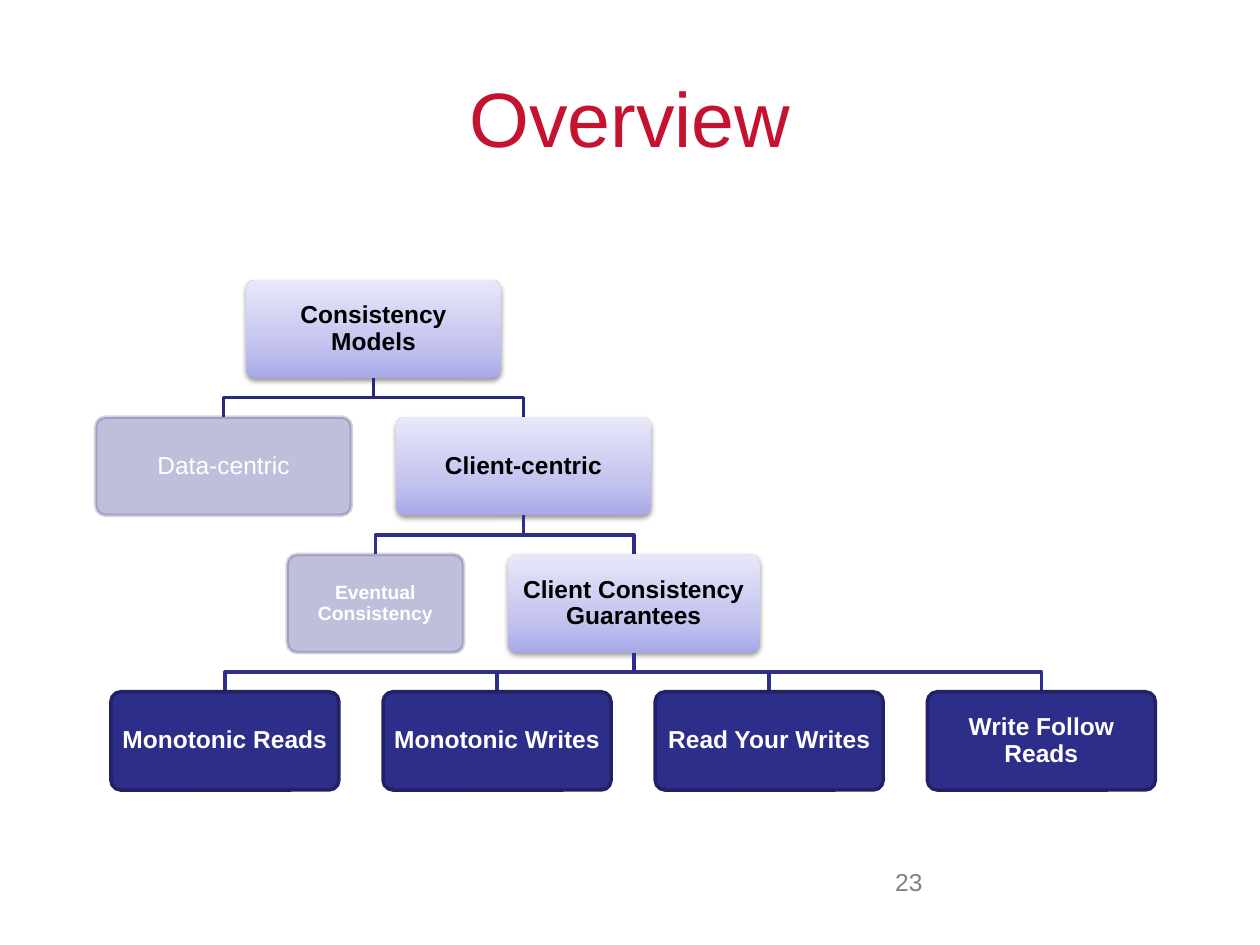
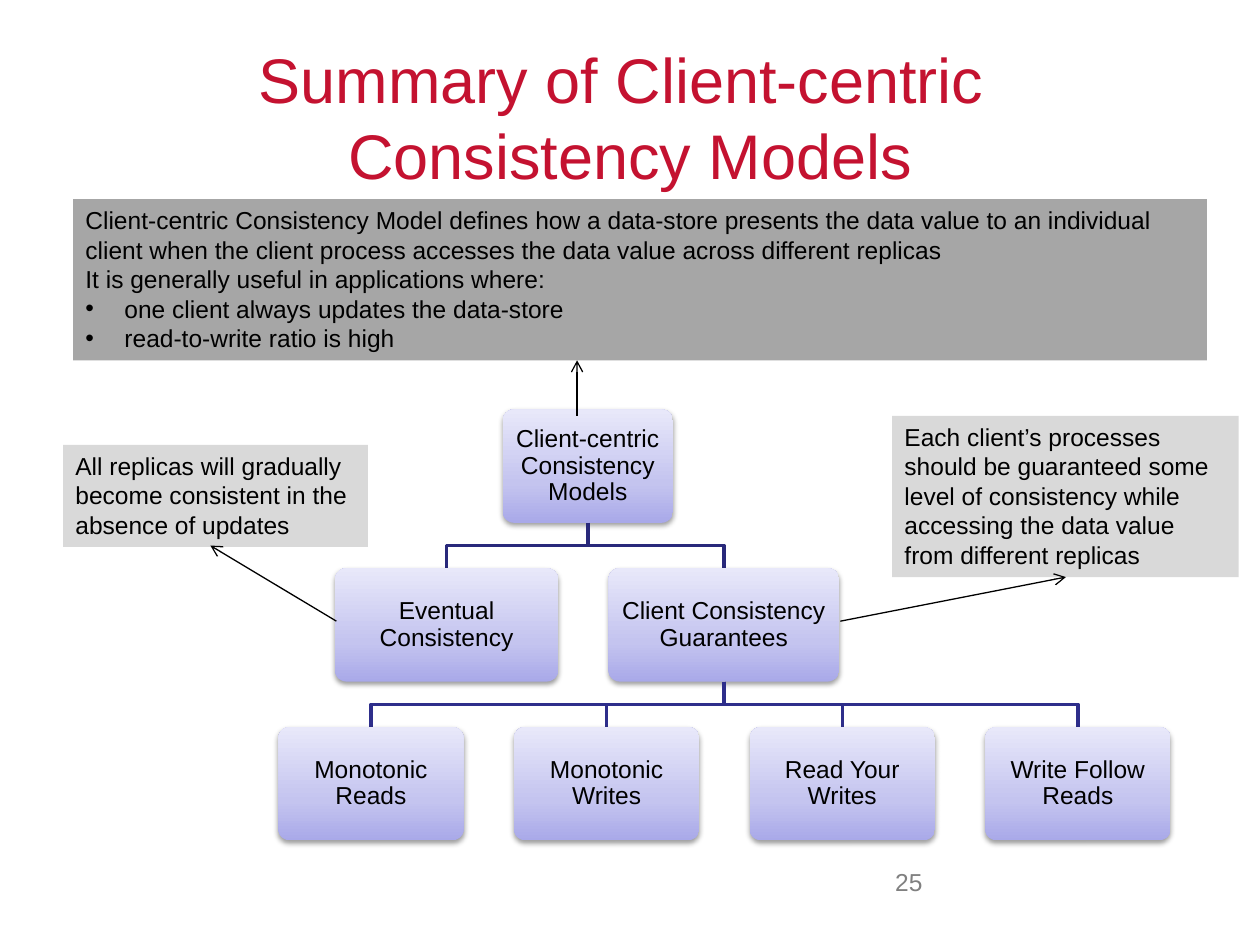
from lxml.etree import SubElement
from pptx import Presentation
from pptx.dml.color import RGBColor
from pptx.enum.shapes import MSO_CONNECTOR, MSO_SHAPE
from pptx.enum.text import MSO_ANCHOR, PP_ALIGN
from pptx.oxml.ns import qn
from pptx.util import Inches, Pt

# Shared look
FONT = "Arial"
RED, GREY, BLACK, WHITE = "C41230", "808080", "000000", "FFFFFF"
NAVY, NAVY_EDGE = "2D2D8A", "212166"
LIGHT_GREY, MID_GREY = "D9D9D9", "A6A6A6"
TOP_BRANCH, LOWER_BRANCH = "29297B", "2E2E8B"
LAVENDER = [(0, "A9A9E9"), (35, "C4C4EF"), (100, "E8E8FA")]

# Node looks: kind -> text format
NODE_TEXT = {
    "current": dict(color=BLACK, bold=True),
    "plain": dict(color=BLACK),
    "leaf": dict(color=WHITE, bold=True),
    "faded": dict(color=WHITE),
    "faded small": dict(color=WHITE, bold=True, size=11),
}

GUARANTEES = ["Monotonic Reads", "Monotonic Writes", "Read Your Writes", "Write Follow Reads"]

# Each tree row: left edge, then nodes as (text, width, kind).
# A row hangs from the last node of the row above.
OVERVIEW = dict(
    title="Overview", title_size=44, number="23",
    tree=dict(top=2.22, pitch=1.09, height=0.78, gap=0.35, rows=[
        (1.95, [("Consistency Models", 2.03, "current")]),
        (0.76, [("Data-centric", 2.03, "faded"), ("Client-centric", 2.03, "current")]),
        (2.28, [("Eventual Consistency", 1.4, "faded small"),
                ("Client Consistency Guarantees", 2, "current")]),
        (0.88, [(name, 1.81, "leaf") for name in GUARANTEES]),
    ]),
    callouts=[], arrows=[],
)
SUMMARY = dict(
    title="Summary of Client-centric \nConsistency Models", title_size=36, number="25",
    tree=dict(top=3.25, pitch=1.26, height=0.9, gap=0.4, rows=[
        (3.99, [("Client-centric Consistency Models", 1.35, "plain")]),
        (2.66, [("Eventual Consistency", 1.77, "plain"),
                ("Client Consistency Guarantees", 1.83, "plain")]),
        (2.21, [(name, 1.47, "plain") for name in GUARANTEES]),
    ]),
    callouts=[
        ((7.08, 3.3, 2.75, 1.28), LIGHT_GREY,
         ["Each client’s processes should be guaranteed some level of consistency "
          "while accessing the data value from different replicas"], []),
        ((0.5, 3.53, 2.42, 0.81), LIGHT_GREY,
         ["All replicas will gradually become consistent in the absence of updates"], []),
        ((0.58, 1.58, 9, 1.28), MID_GREY,
         ["Client-centric Consistency Model defines how a data-store presents the data value "
          "to an individual client when the client process accesses the data value across "
          "different replicas",
          "It is generally useful in applications where:"],
         ["one client always updates the data-store", "read-to-write ratio is high"]),
    ],
    arrows=[((6.67, 4.93), (8.46, 4.58)), ((2.67, 4.93), (1.67, 4.33)),
            ((4.58, 3.3), (4.58, 2.86))],
)


def rgb(code):
    return RGBColor.from_string(code)


def child(parent, tag, **attributes):
    return SubElement(parent, qn(tag), {key: str(value) for key, value in attributes.items()})


def write(shape, paragraphs, size=14, color=BLACK, bold=False, align=PP_ALIGN.LEFT,
          anchor=MSO_ANCHOR.TOP, inset=None, spacing=None, bullets=()):
    frame = shape.text_frame
    frame.word_wrap = True
    frame.vertical_anchor = anchor
    if inset is not None:
        frame.margin_left = frame.margin_right = Inches(inset)
        frame.margin_top = frame.margin_bottom = Inches(inset)
    for index, text in enumerate([*paragraphs, *bullets]):
        paragraph = frame.add_paragraph() if index else frame.paragraphs[0]
        paragraph.text = text
        paragraph.alignment = align
        if spacing:
            paragraph.line_spacing = spacing
        if index >= len(paragraphs):
            properties = paragraph._p.get_or_add_pPr()
            properties.set("marL", str(Inches(0.31)))
            properties.set("indent", str(Inches(-0.31)))
            child(properties, "a:buFont", typeface=FONT)
            child(properties, "a:buChar", char="•")
        for font in [paragraph.font, *(run.font for run in paragraph.runs)]:
            font.name, font.size, font.bold = FONT, Pt(size), bold
            font.color.rgb = rgb(color)


def add_box(slide, preset, place, fill=None):
    box = slide.shapes.add_shape(preset, *map(Inches, place))
    box.shadow.inherit = False
    box.line.fill.background()
    if fill:
        box.fill.solid()
        box.fill.fore_color.rgb = rgb(fill)
    return box


def add_lavender(node):
    """Vertical gradient, light at the top, with a soft shadow below."""
    node.fill.gradient()
    properties = node._element.spPr
    gradient = properties.find(qn("a:gradFill"))
    for part in list(gradient):
        gradient.remove(part)
    stops = child(gradient, "a:gsLst")
    for position, code in LAVENDER:
        child(child(stops, "a:gs", pos=position * 1000), "a:srgbClr", val=code)
    child(gradient, "a:lin", ang=270 * 60000, scaled=0)
    shadow = child(properties.find(qn("a:effectLst")), "a:outerShdw", blurRad=Pt(3.1),
                   dist=Pt(1.6), dir=90 * 60000, rotWithShape=0)
    child(child(shadow, "a:srgbClr", val=BLACK), "a:alpha", val=38000)


def add_node(slide, place, text, kind):
    node = add_box(slide, MSO_SHAPE.ROUNDED_RECTANGLE, place, NAVY)
    node.adjustments[0] = 0.1
    if kind in ("current", "plain"):
        add_lavender(node)
    else:
        node.line.color.rgb = rgb(NAVY_EDGE)
        node.line.width = Pt(2)
    if kind.startswith("faded"):
        colors = node._element.spPr.iter(qn("a:srgbClr"))
        for color, percent in zip(list(colors), (30, 20)):
            child(color, "a:alpha", val=percent * 1000)
    write(node, [text], align=PP_ALIGN.CENTER, anchor=MSO_ANCHOR.MIDDLE, inset=0.06,
          spacing=0.9, **NODE_TEXT[kind])


def add_branch(slide, start, end, color):
    (x1, y1), (x2, y2) = start, end
    middle = (y1 + y2) / 2
    points = [(Inches(x), Inches(y)) for x, y in [(x1, middle), (x2, middle), (x2, y2)]]
    builder = slide.shapes.build_freeform(Inches(x1), Inches(y1))
    builder.add_line_segments(points, close=False)
    branch = builder.convert_to_shape()
    branch.shadow.inherit = False
    branch.fill.background()
    branch.line.color.rgb = rgb(color)
    branch.line.width = Pt(2)


def add_tree(slide, top, pitch, height, gap, rows):
    parent = None
    for level, (left, nodes) in enumerate(rows):
        y = top + level * pitch
        for text, width, kind in nodes:
            center = left + width / 2
            if parent:
                add_branch(slide, parent, (center, y), TOP_BRANCH if level == 1 else LOWER_BRANCH)
            add_node(slide, (left, y, width, height), text, kind)
            left += width + gap
        parent = (center, y + height)


def add_arrow(slide, start, end):
    arrow = slide.shapes.add_connector(MSO_CONNECTOR.STRAIGHT, *map(Inches, start + end))
    arrow.line.color.rgb = rgb(BLACK)
    arrow.line.width = Pt(0.75)
    properties = arrow._element.spPr
    child(properties.find(qn("a:ln")), "a:tailEnd", type="arrow")
    child(properties, "a:effectLst")


def add_slide(deck, content):
    slide = deck.slides.add_slide(deck.slide_layouts[6])
    # Title and slide number
    title = slide.shapes.add_textbox(*map(Inches, (0.5, 0.3, 9, 1.25)))
    write(title, [content["title"]], size=content["title_size"], color=RED,
          align=PP_ALIGN.CENTER, anchor=MSO_ANCHOR.MIDDLE)
    number = slide.shapes.add_textbox(*map(Inches, (6.5, 6.83, 0.92, 0.52)))
    write(number, [content["number"]], color=GREY, align=PP_ALIGN.RIGHT)
    # Tree, then its explanations
    add_tree(slide, **content["tree"])
    for place, fill, paragraphs, bullets in content["callouts"]:
        write(add_box(slide, MSO_SHAPE.RECTANGLE, place, fill), paragraphs, bullets=bullets)
    for start, end in content["arrows"]:
        add_arrow(slide, start, end)


def main():
    deck = Presentation()
    deck.slide_width, deck.slide_height = Inches(10), Inches(7.5)
    for content in (OVERVIEW, SUMMARY):
        add_slide(deck, content)
    deck.save("out.pptx")


if __name__ == "__main__":
    main()
